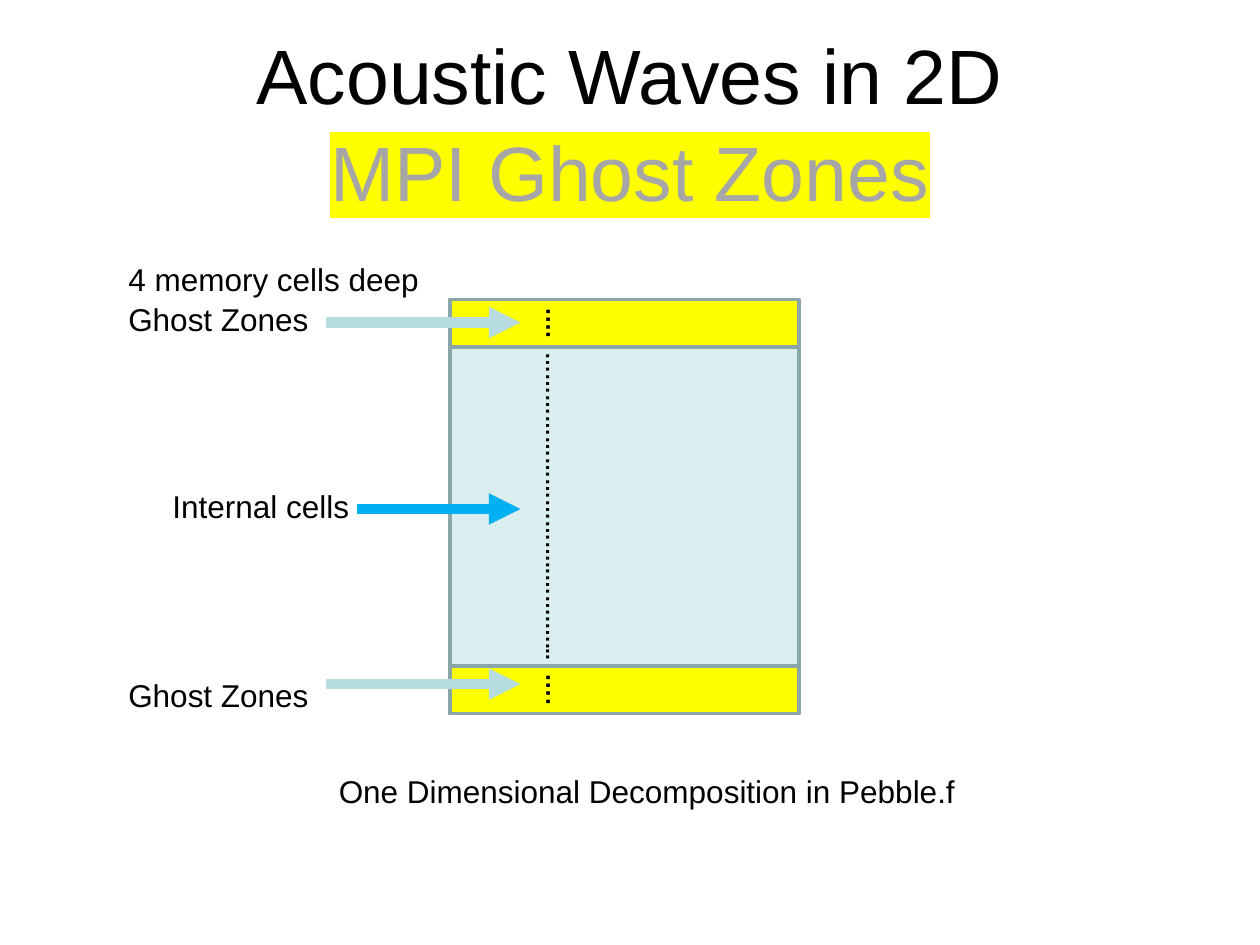
"""Build the slide on MPI ghost zones in a one-dimensional decomposition."""
from dataclasses import dataclass
from typing import Any

from lxml.etree import SubElement
from pptx import Presentation
from pptx.dml.color import RGBColor
from pptx.enum.shapes import MSO_CONNECTOR, MSO_SHAPE
from pptx.enum.text import MSO_ANCHOR, PP_ALIGN
from pptx.oxml.ns import qn
from pptx.util import Inches, Pt

COLUMNS, ROWS = 100, 75
WIDTH, HEIGHT = Inches(10), Inches(7.5)
COLORS = {
    "text": "000000", "subtitle": "A6A6A6", "ghost": "FFFF00", "internal": "DAEDEF",
    "border": "8AA6A8", "ghost_arrow": "B6DCDF", "internal_arrow": "00B0F0",
}
LABEL_TOP, LABEL_PITCH = 20, 3
DOMAIN_LEFT, DOMAIN_WIDTH, BAND_HEIGHT = 35.7, 27.7, 3.8
ARROW_TIP = 41.3


@dataclass(frozen=True)
class Area:
    left: float
    top: float
    width: float
    height: float

    def lengths(self) -> tuple[int, int, int, int]:
        return (column(self.left), row(self.top), column(self.width), row(self.height))


@dataclass(frozen=True)
class Zone:
    top: float
    height: float
    color: str


@dataclass(frozen=True)
class Arrow:
    start: float
    level: float
    color: str


@dataclass(frozen=True)
class Label:
    left: float
    line: int
    texts: tuple[str, ...]


@dataclass(frozen=True)
class Dots:
    area: Area
    text: str
    size: float


ZONES = (
    Zone(26.8, 26.5, "internal"),
    Zone(23.75, BAND_HEIGHT, "ghost"),
    Zone(52.85, BAND_HEIGHT, "ghost"),
)
ARROWS = (
    Arrow(25.9, 25.6, "ghost_arrow"),
    Arrow(28.3, 40.4, "internal_arrow"),
    Arrow(25.9, 54.3, "ghost_arrow"),
)
LABELS = (
    Label(9.2, 0, ("4 memory cells deep", "Ghost Zones")),
    Label(12.7, 6, ("Internal cells",)),
    Label(9.2, 11, ("Ghost Zones",)),
)
DOTS = (
    Dots(Area(33.9, 31.9, 20.4, 3.4), "….", 14),
    Dots(Area(30.6, 38.9, 26.8, 3), "…………………………..…….…...", 12),
    Dots(Area(33.9, 61, 20.4, 3.4), "….", 14),
)


def column(count: float) -> int:
    return round(WIDTH * count / COLUMNS)


def row(count: float) -> int:
    return round(HEIGHT * count / ROWS)


def apply(target: Any, values: dict[str, Any]) -> None:
    for name, value in values.items():
        setattr(target, name, value)


def add_span(para: Any, text: str, size: float, color: str = "text", bold: bool = False) -> Any:
    span = para.add_run()
    span.text = text
    apply(span.font, {"name": "Arial", "size": Pt(size), "bold": bold})
    span.font.color.rgb = RGBColor.from_string(COLORS[color])
    return span


def add_box(page: Any, area: Area, wrap: bool = True) -> Any:
    box = page.shapes.add_textbox(*area.lengths())
    box.text_frame.word_wrap = wrap
    return box


def add_title(page: Any) -> None:
    frame = add_box(page, Area(5, 3.3, 90, 12.5)).text_frame
    frame.vertical_anchor = MSO_ANCHOR.MIDDLE
    para = frame.paragraphs[0]
    apply(para, {"alignment": PP_ALIGN.CENTER, "line_spacing": 1.05})
    add_span(para, "Acoustic Waves in 2D", 44)
    para.add_line_break()
    span = add_span(para, "MPI Ghost Zones", 44, "subtitle")
    highlight = SubElement(span.font._element, qn("a:highlight"))
    SubElement(highlight, qn("a:srgbClr"), val=COLORS["ghost"])
    span.font._element.find(qn("a:solidFill")).addnext(highlight)


def add_zone(page: Any, zone: Zone) -> None:
    area = Area(DOMAIN_LEFT, zone.top, DOMAIN_WIDTH, zone.height)
    shape = page.shapes.add_shape(MSO_SHAPE.RECTANGLE, *area.lengths())
    shape.shadow.inherit = False
    shape.fill.solid()
    shape.fill.fore_color.rgb = RGBColor.from_string(COLORS[zone.color])
    shape.line.color.rgb = RGBColor.from_string(COLORS["border"])
    shape.line.width = Pt(2)


def add_arrow(page: Any, arrow: Arrow) -> None:
    level = row(arrow.level)
    line = page.shapes.add_connector(
        MSO_CONNECTOR.STRAIGHT, column(arrow.start), level, column(ARROW_TIP), level
    )
    line.line.color.rgb = RGBColor.from_string(COLORS[arrow.color])
    line.line.width = Pt(6)
    SubElement(line.line._get_or_add_ln(), qn("a:tailEnd"), type="triangle")
    SubElement(line._element.spPr, qn("a:effectLst"))


def add_label(page: Any, label: Label) -> None:
    top = LABEL_TOP + label.line * LABEL_PITCH
    height = 1 + LABEL_PITCH * len(label.texts)
    frame = add_box(page, Area(label.left, top, 27, height)).text_frame
    for index, text in enumerate(label.texts):
        para = frame.add_paragraph() if index else frame.paragraphs[0]
        para.line_spacing = 1.05
        add_span(para, text, 18)


def add_dots(page: Any, dots: Dots) -> None:
    box = add_box(page, dots.area)
    box.rotation = 90
    add_span(box.text_frame.paragraphs[0], dots.text, dots.size, bold=True)


def main() -> None:
    deck = Presentation()
    apply(deck, {"slide_width": WIDTH, "slide_height": HEIGHT})
    page = deck.slides.add_slide(deck.slide_layouts[6])
    add_title(page)
    for draw, items in (
        (add_zone, ZONES), (add_arrow, ARROWS), (add_label, LABELS), (add_dots, DOTS)
    ):
        for item in items:
            draw(page, item)
    caption = add_box(page, Area(25.9, 60.8, 52.1, 4), wrap=False)
    add_span(caption.text_frame.paragraphs[0], "One Dimensional Decomposition in Pebble.f", 18)
    deck.save("out.pptx")


if __name__ == "__main__":
    main()
